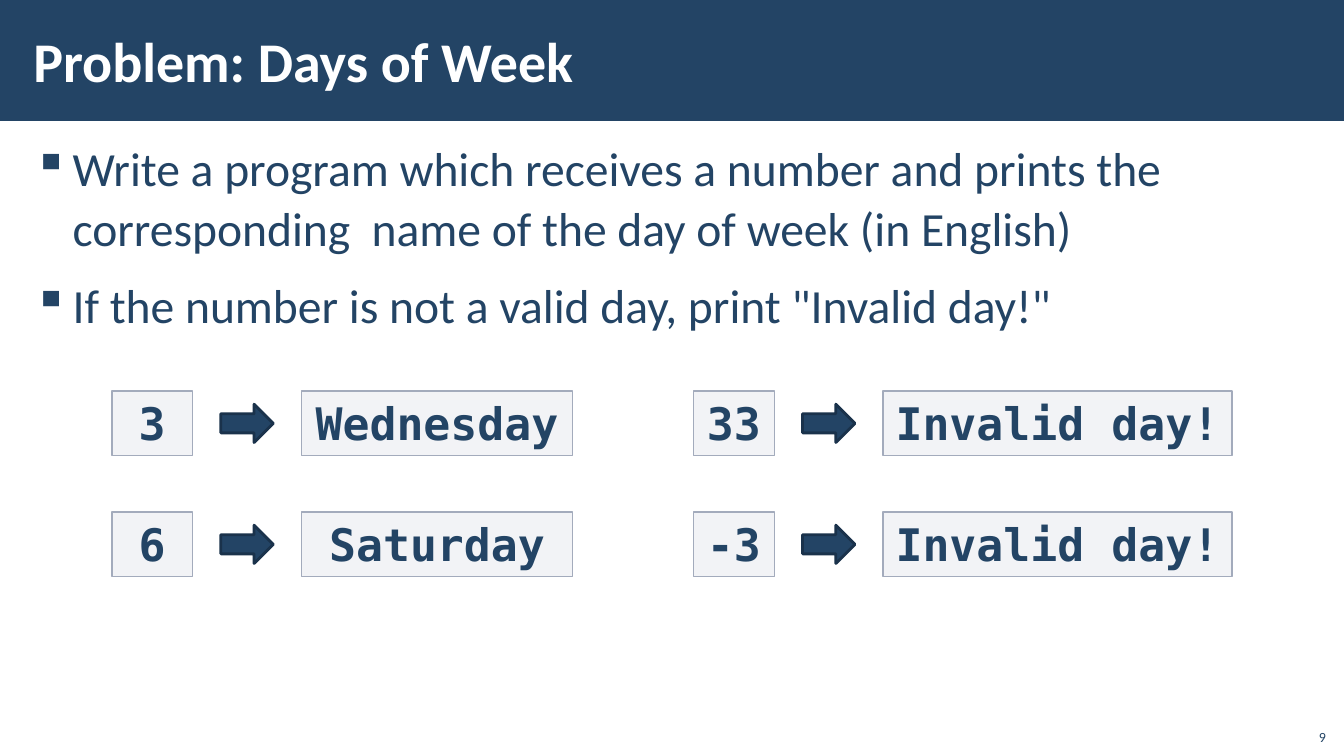
from lxml import etree
from pptx import Presentation
from pptx.dml.color import RGBColor
from pptx.enum.shapes import MSO_SHAPE
from pptx.enum.text import MSO_ANCHOR, MSO_AUTO_SIZE, PP_ALIGN
from pptx.oxml.ns import qn
from pptx.util import Inches, Pt

RECT, ARROW = MSO_SHAPE.RECTANGLE, MSO_SHAPE.RIGHT_ARROW
MIDDLE, BOTTOM = MSO_ANCHOR.MIDDLE, MSO_ANCHOR.BOTTOM
NO_FIT, GROW = MSO_AUTO_SIZE.NONE, MSO_AUTO_SIZE.SHAPE_TO_FIT_TEXT
LEFT, CENTER, RIGHT = PP_ALIGN.LEFT, PP_ALIGN.CENTER, PP_ALIGN.RIGHT

TITLE = "Problem: Days of Week"
BULLETS = [
    "Write a program which receives a number and prints the \v"
    "corresponding  name of the day of week (in English)",
    'If the number is not a valid day, print "Invalid day!"',
]
PAGE = "9"
# Each column: left edge, width of its result boxes, (input, result) pairs
COLUMNS = [
    (1.11, 2.69, [("3", "Wednesday"), ("6", "Saturday")]),
    (6.88, 3.46, [("33", "Invalid day!"), ("-3", "Invalid day!")]),
]

COLORS = {"navy": "234465", "arrow_line": "1A324B", "white": "FFFFFF",
          "box": "C2C7D2", "box_line": "A3ABBC"}
SANS, MONO = "Calibri", "DejaVu Sans Mono"
ROW_TOP, ROW_STEP = 3.88, 1.2
BOX_W, BOX_H, GAP = 0.8, 0.64, 0.28
ARROW_W, ARROW_H = 0.52, 0.38
INSETS = {"margin_left": Inches(0.12), "margin_right": Inches(0.12),
          "margin_top": Inches(0.04), "margin_bottom": Inches(0.04)}


def rgb(name):
    return RGBColor.from_string(COLORS[name])


def set_attrs(obj, values):
    for name, value in values.items():
        setattr(obj, name, value)


def write(p, text, size, color="navy", font=SANS, bold=False, align=LEFT):
    p.text = text
    p.alignment = align
    for r in p.runs:
        set_attrs(r.font, {"size": Pt(size), "name": font, "bold": bold})
        r.font.color.rgb = rgb(color)


def place(sp, *box):
    set_attrs(sp, dict(zip(("left", "top", "width", "height"), map(Inches, box))))


def add_shape(kind, box, fill, line=None, weight=1):
    sp = slide.shapes.add_shape(kind, *map(Inches, box))
    sp.shadow.inherit = False
    sp.fill.solid()
    sp.fill.fore_color.rgb = rgb(fill)
    if line:
        sp.line.color.rgb = rgb(line)
        sp.line.width = Pt(weight)
    else:
        sp.line.fill.background()
    return sp


def add_code_box(text, *box):
    sp = add_shape(RECT, box, "box", "box_line")
    color = sp.fill._xPr.find(qn("a:solidFill"))[0]
    etree.SubElement(color, qn("a:alpha"), val="20000")
    set_attrs(sp.text_frame, {"word_wrap": True, "auto_size": GROW,
                              "vertical_anchor": MSO_ANCHOR.TOP})
    write(sp.text_frame.paragraphs[0], text, 32, font=MONO, bold=True, align=CENTER)


def add_example(number, result, left, top, result_w):
    arrow_left = left + BOX_W + GAP
    add_code_box(number, left, top, BOX_W, BOX_H)
    add_code_box(result, arrow_left + ARROW_W + GAP, top, result_w, BOX_H)
    arrow_top = top + (BOX_H - ARROW_H) / 2
    add_shape(ARROW, (arrow_left, arrow_top, ARROW_W, ARROW_H),
              "navy", "arrow_line", 2)


def add_bullet(p):
    set_attrs(p, {"line_spacing": 1.05, "space_before": Pt(6), "space_after": Pt(6)})
    pPr = p._p.get_or_add_pPr()
    pPr.set("marL", str(Inches(0.39)))
    pPr.set("indent", str(-Inches(0.39)))
    etree.SubElement(pPr, qn("a:buChar"), char="▪")


prs = Presentation()
prs.slide_width, prs.slide_height = Inches(13.33), Inches(7.5)
slide = prs.slides.add_slide(prs.slide_layouts[5])

title = slide.shapes.title
band = add_shape(RECT, (0, 0, 13.33, 1.2), "navy")
title._element.addprevious(band._element)
place(title, 0.21, 0.11, 10.63, 0.97)
set_attrs(title.text_frame, {**INSETS, "vertical_anchor": MIDDLE,
                             "word_wrap": True, "auto_size": NO_FIT})
write(title.text_frame.paragraphs[0], TITLE, 40, "white", bold=True)

body = slide.shapes.add_textbox(*map(Inches, (0.21, 1.31, 12.92, 6.05)))
tf = body.text_frame
set_attrs(tf, {**INSETS, "word_wrap": True})
for i, text in enumerate(BULLETS):
    p = tf.add_paragraph() if i else tf.paragraphs[0]
    write(p, text, 34)
    add_bullet(p)

for left, result_w, examples in COLUMNS:
    for row, (number, result) in enumerate(examples):
        add_example(number, result, left, ROW_TOP + row * ROW_STEP, result_w)

page = slide.shapes.add_textbox(*map(Inches, (12.85, 7.12, 0.4, 0.32)))
set_attrs(page.text_frame, {"word_wrap": True, "vertical_anchor": BOTTOM})
write(page.text_frame.paragraphs[0], PAGE, 10, align=RIGHT)

prs.save("out.pptx")
